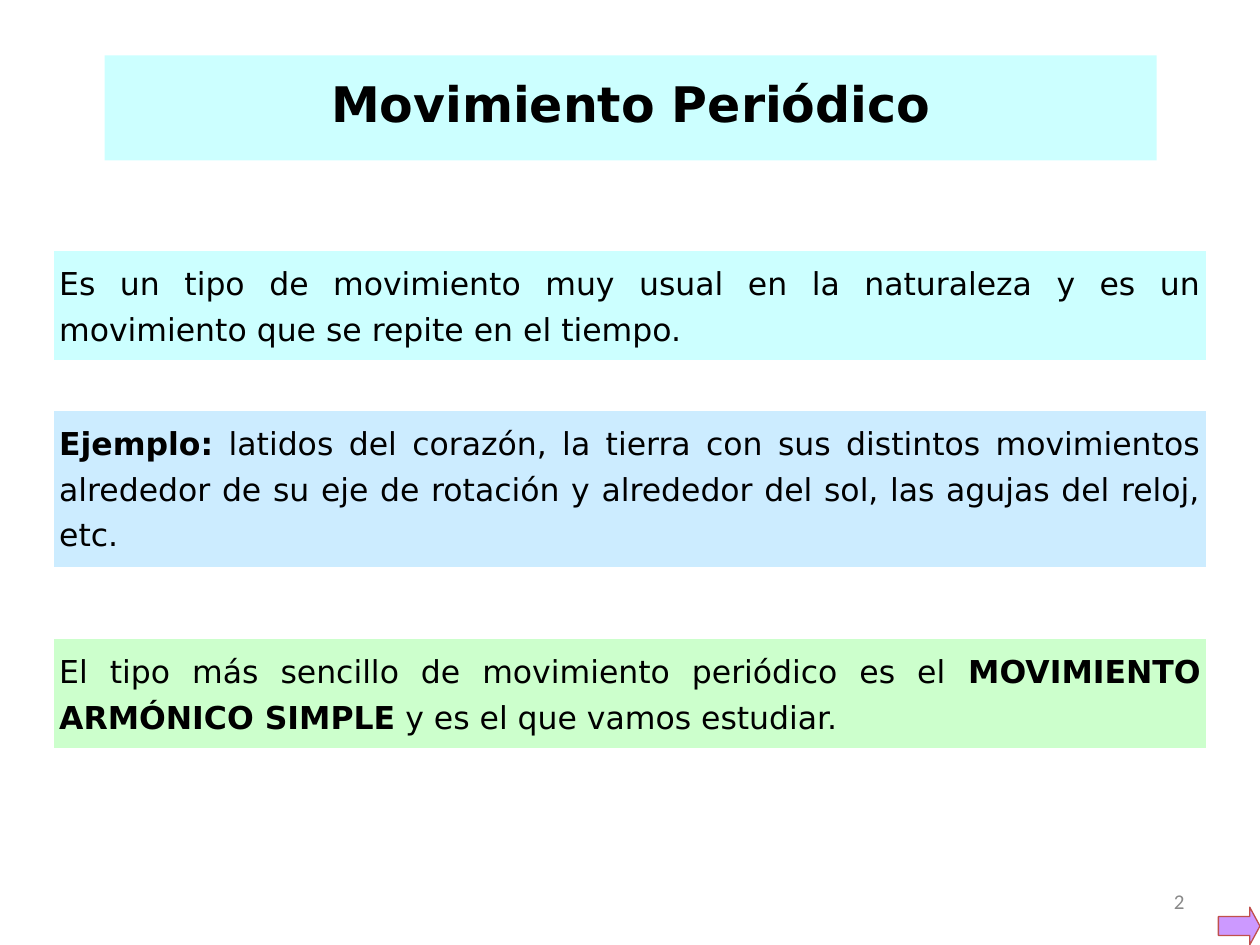
"""Build a slide on periodic motion with a text table."""
import pptx
import pptx.util
import pptx.dml.color
import pptx.enum.shapes
import pptx.enum.text

Inches = pptx.util.Inches
Pt = pptx.util.Pt
RGBColor = pptx.dml.color.RGBColor
ALIGN = pptx.enum.text.PP_ALIGN
ANCHOR = pptx.enum.text.MSO_ANCHOR

BLACK = RGBColor(0x00, 0x00, 0x00)
WHITE = RGBColor(0xFF, 0xFF, 0xFF)
CYAN = RGBColor(0xCC, 0xFF, 0xFF)
BLUE = RGBColor(0xCC, 0xEC, 0xFF)
GREEN = RGBColor(0xCC, 0xFF, 0xCC)
VIOLET = RGBColor(0xCC, 0x99, 0xFF)
RED = RGBColor(0xC0, 0x50, 0x4D)
GREY = RGBColor(0x89, 0x89, 0x89)

FACE = "DejaVu Sans"
PLAIN = "{2D5ABB26-0587-4C30-8999-92F81FD0307C}"
COLS = [5.12, 4.02]
ROWS = [0.25, 0.87, 0.34, 1.24, 0.57, 0.87, 0.23]
BODY = [
    (CYAN, [("Es un tipo de movimiento muy usual en la naturaleza y es un "
             "movimiento que se repite en el tiempo.", False)]),
    (BLUE, [("Ejemplo:", True),
            (" latidos del corazón, la tierra con sus distintos movimientos "
             "alrededor de su eje de rotación y alrededor del sol, las agujas "
             "del reloj, etc.", False)]),
    (GREEN, [("El tipo más sencillo de movimiento periódico es el ", False),
             ("MOVIMIENTO ARMÓNICO SIMPLE", True),
             (" y es el que vamos estudiar.", False)]),
]


def paint(item, color):
    """Fill an item with one colour."""
    item.fill.solid()
    item.fill.fore_color.rgb = color


def style(para, face, size, color, align):
    """Set the font and alignment of a paragraph."""
    para.alignment = align
    para.font.name = face
    para.font.size = Pt(size)
    para.font.color.rgb = color


def add_title(slide, text):
    """Format the title placeholder as a filled band."""
    title = slide.shapes.title
    title.left, title.top = Inches(0.83), Inches(0.44)
    title.width, title.height = Inches(8.35), Inches(0.66)
    paint(title, CYAN)
    frame = title.text_frame
    frame.text = text
    frame.vertical_anchor = ANCHOR.TOP
    frame.auto_size = pptx.enum.text.MSO_AUTO_SIZE.SHAPE_TO_FIT_TEXT
    para = frame.paragraphs[0]
    style(para, FACE, 28, BLACK, ALIGN.CENTER)
    para.font.bold = True
    para.line_spacing = 1.2
    para.space_before = Pt(17.5)


def fill_cell(cell, color, runs):
    """Write one justified paragraph into a coloured cell."""
    paint(cell, color)
    cell.margin_left = cell.margin_right = Inches(0.04)
    para = cell.text_frame.paragraphs[0]
    style(para, FACE, 18, BLACK, ALIGN.JUSTIFY)
    para.line_spacing = 1.25
    para.space_before = Pt(4.5)
    for text, bold in runs:
        run = para.add_run()
        run.text = text
        run.font.bold = bold


def add_table(slide):
    """Add the table whose odd rows hold the text."""
    frame = slide.shapes.add_table(
        len(ROWS), len(COLS), Inches(0.43), Inches(1.59),
        Inches(sum(COLS)), Inches(sum(ROWS)))
    table = frame.table
    table.first_row = table.horz_banding = False
    table._tbl.tblPr[0].text = PLAIN
    for col, width in zip(table.columns, COLS):
        col.width = Inches(width)
    for row, height in zip(table.rows, ROWS):
        row.height = Inches(height)
        for cell in row.cells:
            paint(cell, WHITE)
    for index, (color, runs) in enumerate(BODY):
        cell = table.cell(2 * index + 1, 0)
        cell.merge(table.cell(2 * index + 1, 1))
        fill_cell(cell, color, runs)


def add_arrow(slide):
    """Add the arrow in the lower right corner."""
    arrow = slide.shapes.add_shape(
        pptx.enum.shapes.MSO_SHAPE.RIGHT_ARROW,
        Inches(9.67), Inches(7.2), Inches(0.33), Inches(0.3))
    arrow.adjustments[0] = 0.5
    arrow.adjustments[1] = 0.27
    arrow.shadow.inherit = False
    paint(arrow, VIOLET)
    arrow.line.color.rgb = RED
    arrow.line.width = Pt(0.75)


def add_number(slide, text):
    """Add the slide number."""
    box = slide.shapes.add_textbox(
        Inches(7.17), Inches(6.95), Inches(2.33), Inches(0.4))
    frame = box.text_frame
    frame.word_wrap = True
    frame.vertical_anchor = ANCHOR.MIDDLE
    frame.text = text
    style(frame.paragraphs[0], "Calibri", 12, GREY, ALIGN.RIGHT)


def main():
    """Build and save the slide."""
    deck = pptx.Presentation()
    deck.slide_width, deck.slide_height = Inches(10), Inches(7.5)
    slide = deck.slides.add_slide(deck.slide_layouts[5])
    add_table(slide)
    add_title(slide, "Movimiento Periódico")
    add_arrow(slide)
    add_number(slide, "2")
    deck.save("out.pptx")


if __name__ == "__main__":
    main()
